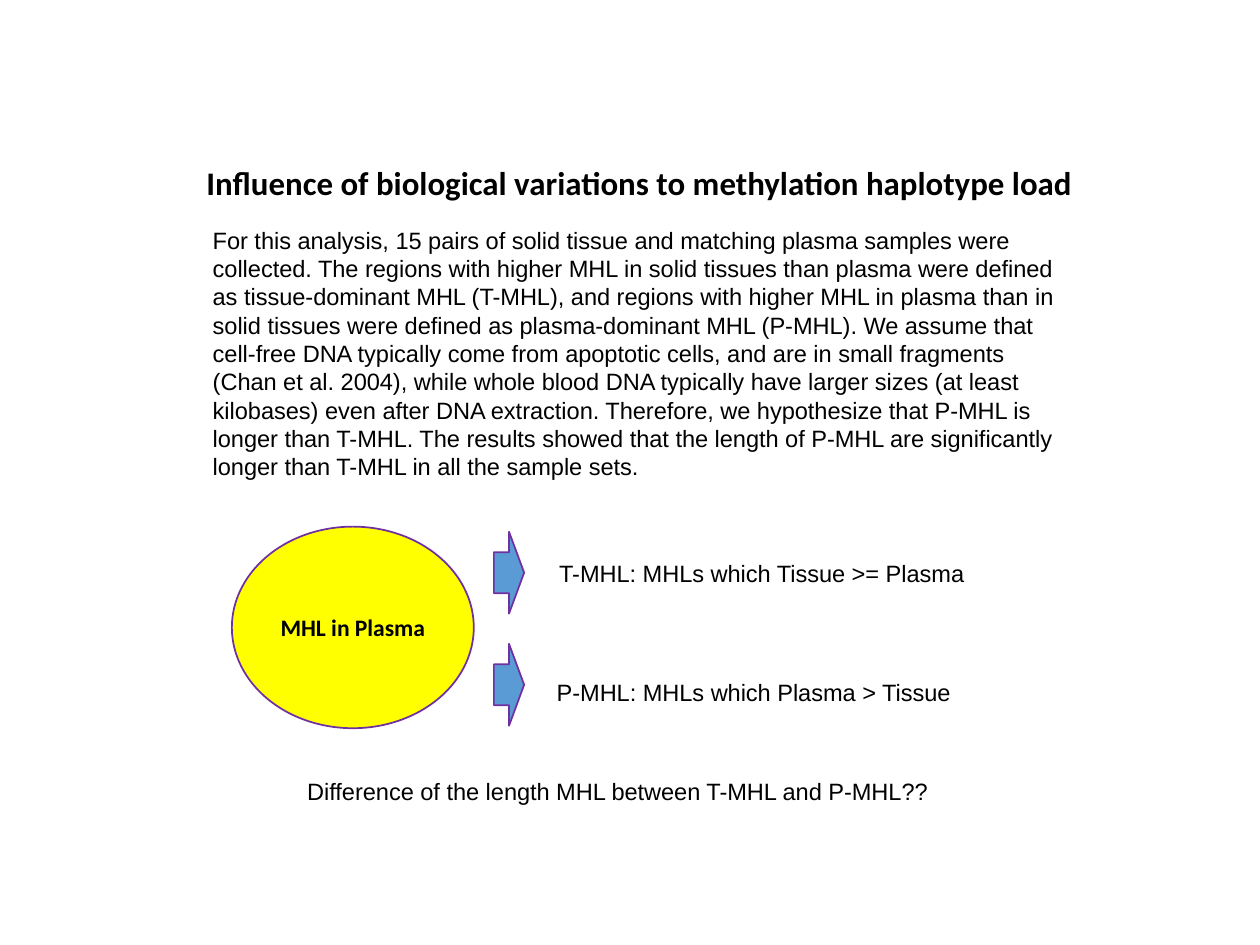
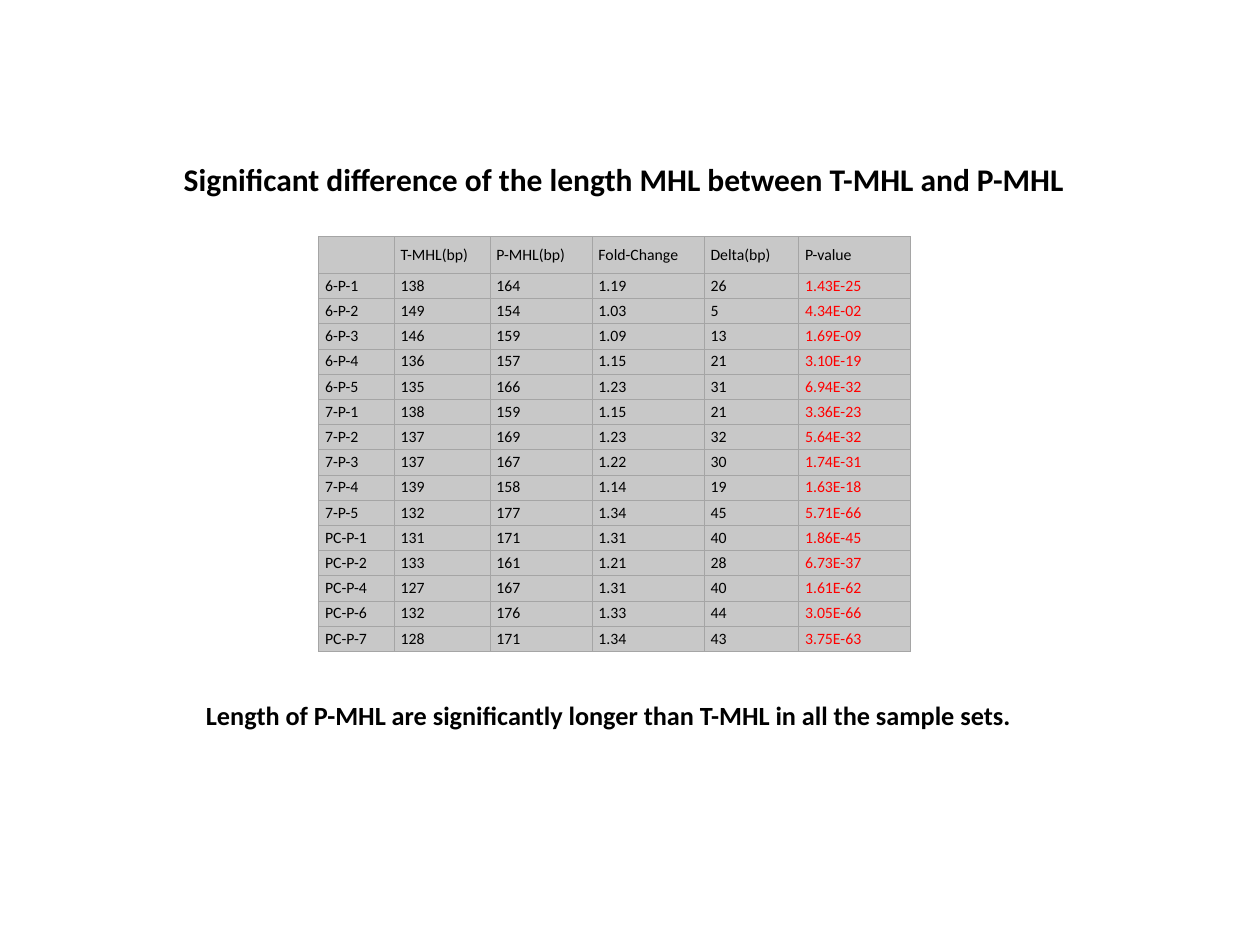
"""Build two slides on methylation haplotype load in tissue and plasma."""
from lxml.etree import SubElement
from pptx import Presentation
from pptx.dml.color import RGBColor
from pptx.enum.shapes import MSO_SHAPE as Preset
from pptx.enum.text import MSO_ANCHOR as Anchor, PP_ALIGN as Align
from pptx.oxml.ns import qn
from pptx.util import Inches, Pt

COLOURS = {"text": "000000", "plasma": "FFFF00", "arrow": "5B9BD5", "outline": "7030A0",
           "cell": "C8C8C8", "rule": "A5A5A5", "p_value": "FF0000"}
HEADING, BODY = "Calibri", "Arial"
BODY_SIZE, CELL_SIZE = 13.5, 9

INFLUENCE_TITLE = "Influence of biological variations to methylation haplotype load"
ANALYSIS = (
    "For this analysis, 15 pairs of solid tissue and matching plasma samples were collected. "
    "The regions with higher MHL in solid tissues than plasma were defined as tissue-dominant "
    "MHL (T-MHL), and regions with higher MHL in plasma than in solid tissues were defined as "
    "plasma-dominant MHL (P-MHL). We assume that cell-free DNA typically come from apoptotic "
    "cells, and are in small fragments (Chan et al. 2004), while whole blood DNA typically have "
    "larger sizes (at least kilobases) even after DNA extraction. Therefore, we hypothesize that "
    "P-MHL is longer than T-MHL. The results showed that the length of P-MHL are significantly "
    "longer than T-MHL in all the sample sets.")
SOURCE = "MHL in Plasma"
BRANCHES = [
    ("T-MHL: MHLs which Tissue >= Plasma", (4.34, 4.39, 3.46, 0.33)),
    ("P-MHL: MHLs which Plasma > Tissue", (4.32, 5.33, 3.37, 0.56)),
]
QUESTION = "Difference of the length MHL between T-MHL and P-MHL??"

DIFFERENCE_TITLE = "Significant difference of the length MHL between T-MHL and P-MHL"
CONCLUSION = "Length of P-MHL are significantly longer than T-MHL in all the sample sets. "
HEADER = ("", "T-MHL(bp)", "P-MHL(bp)", "Fold-Change", "Delta(bp)", "P-value")
SAMPLES = [
    ("6-P-1", "138", "164", "1.19", "26", "1.43E-25"),
    ("6-P-2", "149", "154", "1.03", "5", "4.34E-02"),
    ("6-P-3", "146", "159", "1.09", "13", "1.69E-09"),
    ("6-P-4", "136", "157", "1.15", "21", "3.10E-19"),
    ("6-P-5", "135", "166", "1.23", "31", "6.94E-32"),
    ("7-P-1", "138", "159", "1.15", "21", "3.36E-23"),
    ("7-P-2", "137", "169", "1.23", "32", "5.64E-32"),
    ("7-P-3", "137", "167", "1.22", "30", "1.74E-31"),
    ("7-P-4", "139", "158", "1.14", "19", "1.63E-18"),
    ("7-P-5", "132", "177", "1.34", "45", "5.71E-66"),
    ("PC-P-1", "131", "171", "1.31", "40", "1.86E-45"),
    ("PC-P-2", "133", "161", "1.21", "28", "6.73E-37"),
    ("PC-P-4", "127", "167", "1.31", "40", "1.61E-62"),
    ("PC-P-6", "132", "176", "1.33", "44", "3.05E-66"),
    ("PC-P-7", "128", "171", "1.34", "43", "3.75E-63"),
]
COLUMN_WIDTHS = (0.6, 0.76, 0.81, 0.89, 0.75, 0.89)
HEADER_HEIGHT, SAMPLE_HEIGHT = 0.29, 0.2


def colour(name):
    return RGBColor.from_string(COLOURS[name])


def place(box):
    return [Inches(length) for length in box]


def write(frame, text, size, font, bold=False, align=Align.LEFT, ink="text"):
    paragraph = frame.paragraphs[0]
    paragraph.alignment = align
    run = paragraph.add_run()
    run.text = text
    run.font.size, run.font.name, run.font.bold = Pt(size), font, bold
    run.font.color.rgb = colour(ink)


def add_text(slide, box, text, size=BODY_SIZE, font=BODY, wrap=True, **style):
    frame = slide.shapes.add_textbox(*place(box)).text_frame
    frame.word_wrap = wrap
    write(frame, text, size, font, **style)


def add_title(slide, box, text, size, wrap=True):
    add_text(slide, box, text, size, HEADING, wrap, bold=True)


def add_outlined(slide, preset, box, fill):
    shape = slide.shapes.add_shape(preset, *place(box))
    shape.shadow.inherit = False
    shape.fill.solid()
    shape.fill.fore_color.rgb = colour(fill)
    shape.line.color.rgb = colour("outline")
    shape.line.width = Pt(1)
    return shape


def style_cell(cell):
    properties = cell._tc.get_or_add_tcPr()
    for side in ("lnL", "lnR", "lnT", "lnB"):
        border = SubElement(properties, qn(f"a:{side}"), w=str(Pt(0.5)))
        SubElement(SubElement(border, qn("a:solidFill")), qn("a:srgbClr"), val=COLOURS["rule"])
    cell.fill.solid()
    cell.fill.fore_color.rgb = colour("cell")
    cell.vertical_anchor = Anchor.MIDDLE
    cell.margin_left = cell.margin_right = Inches(0.05)
    cell.margin_top = cell.margin_bottom = Inches(0.02)


def add_samples(slide, left, top):
    rows = [HEADER, *SAMPLES]
    heights = [HEADER_HEIGHT] + [SAMPLE_HEIGHT] * len(SAMPLES)
    box = (left, top, sum(COLUMN_WIDTHS), sum(heights))
    table = slide.shapes.add_table(len(rows), len(HEADER), *place(box)).table
    for column, width in zip(table.columns, COLUMN_WIDTHS):
        column.width = Inches(width)
    for r, (values, height) in enumerate(zip(rows, heights)):
        table.rows[r].height = Inches(height)
        for c, value in enumerate(values):
            cell = table.cell(r, c)
            style_cell(cell)
            if value:
                is_p_value = r > 0 and HEADER[c] == "P-value"
                write(cell.text_frame, value, CELL_SIZE, HEADING,
                      ink="p_value" if is_p_value else "text")
            else:
                paragraph = cell.text_frame.paragraphs[0]
                SubElement(paragraph._p, qn("a:endParaRPr"), sz=str(CELL_SIZE * 100))


def build_influence(slide):
    add_text(slide, (1.59, 1.74, 6.97, 2.15), ANALYSIS)
    add_title(slide, (1.54, 1.24, 7.12, 0.42), INFLUENCE_TITLE, 18.8, wrap=False)
    add_text(slide, (2.34, 6.12, 6.6, 0.33), QUESTION)
    plasma = add_outlined(slide, Preset.OVAL, (1.84, 4.18, 1.92, 1.6), "plasma")
    plasma.text_frame.vertical_anchor = Anchor.MIDDLE
    write(plasma.text_frame, SOURCE, BODY_SIZE, HEADING, bold=True, align=Align.CENTER)
    for i, (label, box) in enumerate(BRANCHES):
        add_outlined(slide, Preset.RIGHT_ARROW, (3.92, 4.22 + 0.89 * i, 0.24, 0.65), "arrow")
        add_text(slide, box, label, wrap=False)


def build_difference(slide):
    add_samples(slide, 2.53, 1.88)
    add_text(slide, (0.74, 5.5, 8.23, 0.35), CONCLUSION, 15, HEADING,
             bold=True, align=Align.CENTER)
    add_title(slide, (1.36, 1.22, 7.39, 0.4), DIFFERENCE_TITLE, 18)


def main():
    deck = Presentation()
    deck.slide_width, deck.slide_height = Inches(10), Inches(7.5)
    for build in (build_influence, build_difference):
        build(deck.slides.add_slide(deck.slide_layouts[6]))
    deck.save("out.pptx")


if __name__ == "__main__":
    main()
